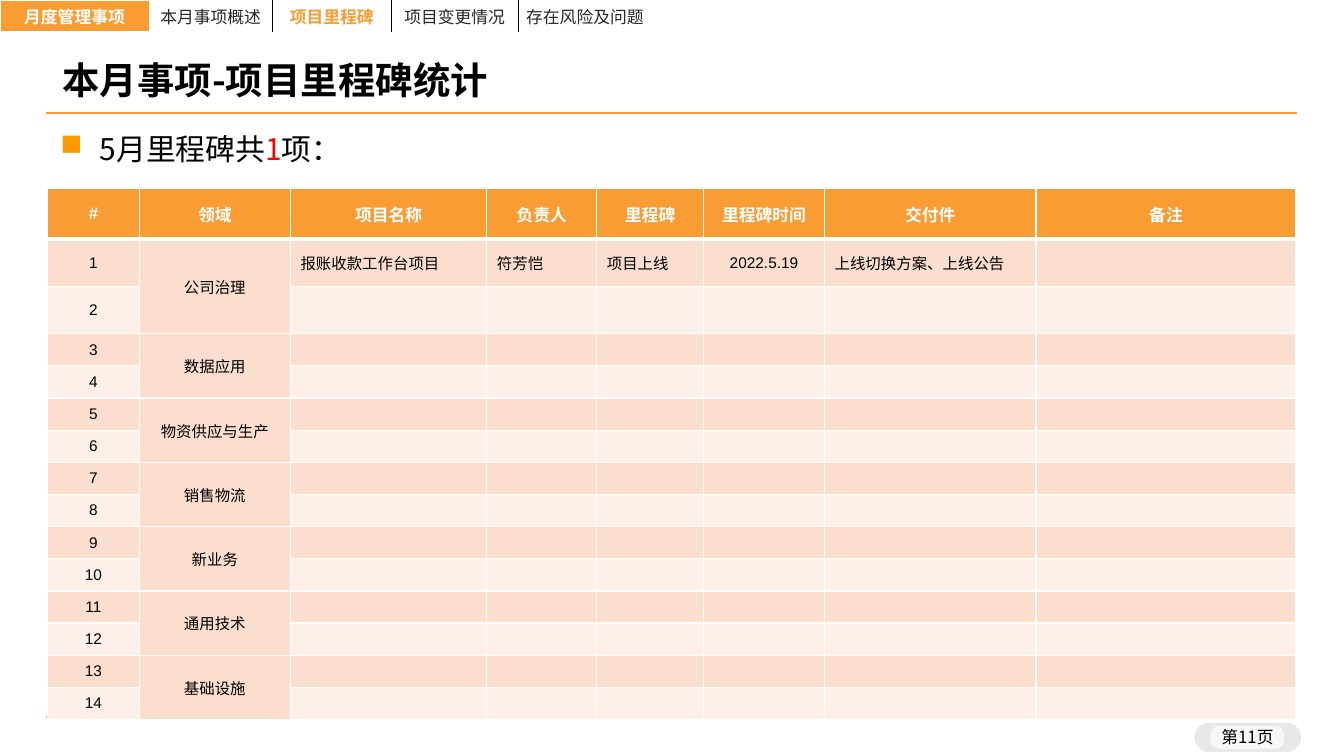
from lxml.etree import SubElement
from pptx import Presentation
from pptx.dml.color import RGBColor
from pptx.enum.shapes import MSO_CONNECTOR, MSO_SHAPE
from pptx.enum.text import MSO_ANCHOR, PP_ALIGN
from pptx.oxml.ns import qn
from pptx.util import Cm, Pt

ORANGE = RGBColor(0xF8, 0x9C, 0x33)
RULE = RGBColor(0xFF, 0x99, 0x33)
PEACH = RGBColor(0xFC, 0xDE, 0xCE)
PALE = RGBColor(0xFE, 0xEF, 0xE8)
WHITE = RGBColor(0xFF, 0xFF, 0xFF)
BLACK = RGBColor(0, 0, 0)
DARK = RGBColor(0x26, 0x26, 0x26)
RED = RGBColor(0xFF, 0, 0)
CJK = "Noto Sans CJK SC"

TABS = ["月度管理事项", "本月事项概述", "项目里程碑", "项目变更情况", "存在风险及问题"]
TAB_WIDTHS = [3.76, 3.1, 3, 3.2, 5.77] + [3.76] * 4
HEADERS = ["#", "领域", "项目名称", "负责人", "里程碑", "里程碑时间", "交付件", "备注"]
COL_WIDTHS = [2.31, 3.81, 4.95, 2.77, 2.69, 3.05, 5.33, 6.55]
ROW_HEIGHTS = [1.27, 1.19, 1.19] + [0.81] * 12
AREAS = ["公司治理", "数据应用", "物资供应与生产", "销售物流", "新业务", "通用技术", "基础设施"]
MILESTONES = {1: ["报账收款工作台项目", "符芳恺", "项目上线", "2022.5.19", "上线切换方案、上线公告", ""]}
CENTRED = {0, 1, 5}


def style_run(r, size, color, bold=False, font=CJK):
    r.font.size, r.font.bold, r.font.name = Pt(size), bold, font
    r.font.color.rgb = color
    SubElement(r.font._element, qn("a:ea"), typeface=CJK)


def add_text(s, box, margins, parts, size, bold=False, anchor=MSO_ANCHOR.TOP, wrap=True):
    """Put one paragraph of (text, colour) parts in a box and return it."""
    tf = s.shapes.add_textbox(*map(Cm, box)).text_frame
    tf.word_wrap, tf.vertical_anchor = wrap, anchor
    tf.margin_left = tf.margin_right = Cm(margins[0])
    tf.margin_top = tf.margin_bottom = Cm(margins[1])
    p = tf.paragraphs[0]
    for text, color in parts:
        r = p.add_run()
        r.text = text
        style_run(r, size, color, bold)
    return p


def add_rule(s, x, y, width):
    line = s.shapes.add_connector(MSO_CONNECTOR.STRAIGHT, Cm(x), Cm(y), Cm(x + width), Cm(y))
    line.line.color.rgb, line.line.width = RULE, Pt(1.5)
    SubElement(line._element.spPr, qn("a:effectLst"))


def add_pill(s, box, radius, color, opacity):
    sp = s.shapes.add_shape(MSO_SHAPE.ROUNDED_RECTANGLE, *map(Cm, box))
    sp.adjustments[0] = radius
    sp.shadow.inherit = False
    sp.line.fill.background()
    sp.fill.solid()
    sp.fill.fore_color.rgb = color
    fill = sp._element.spPr.find(qn("a:solidFill"))
    SubElement(fill[0], qn("a:alpha"), val=str(opacity * 1000))


def add_table(s, x, y, widths, heights):
    frame = s.shapes.add_table(len(heights), len(widths), Cm(x), Cm(y),
                               Cm(sum(widths)), Cm(sum(heights)))
    table = frame.table
    table.first_row = table.horz_banding = False
    for col, width in zip(table.columns, widths):
        col.width = Cm(width)
    for row, height in zip(table.rows, heights):
        row.height = Cm(height)
    return table


def fill_cell(cell, text, size, color, fill, borders, bold=False, font=CJK, align=PP_ALIGN.CENTER):
    """Borders map a side (L, R, T, B) to its colour and width in points."""
    cell.vertical_anchor = MSO_ANCHOR.MIDDLE
    p = cell.text_frame.paragraphs[0]
    p.text, p.alignment = text, align
    for r in p.runs:
        style_run(r, size, color, bold, font)
    if not text:  # an empty cell keeps its row height only with a small font
        end = SubElement(p._p, qn("a:endParaRPr"), sz=str(size * 100))
        SubElement(end, qn("a:latin"), typeface=font)
    tcPr = cell._tc.get_or_add_tcPr()
    for side in "LRTB":
        if side in borders:
            line_color, width = borders[side]
            ln = SubElement(tcPr, qn("a:ln" + side), w=str(Pt(width)))
            SubElement(SubElement(ln, qn("a:solidFill")), qn("a:srgbClr"), val=str(line_color))
    if fill is None:
        cell.fill.background()
    else:
        cell.fill.solid()
        cell.fill.fore_color.rgb = fill


def tab_bar(s, x, y, height):
    table = add_table(s, x, y, TAB_WIDTHS, [height])
    last = len(TABS) - 1
    for i in range(len(TAB_WIDTHS)):
        cell = table.cell(0, i)
        cell.margin_left = Cm(0.2 if i == last else 0)
        cell.margin_right = 0
        cell.margin_top = cell.margin_bottom = Cm(0.1)
        borders = {side: (WHITE, 1) for side in "LRTB"}
        if 1 < i <= last:
            borders["L"] = (BLACK, 1)
        if 1 <= i < last:
            borders["R"] = (BLACK, 1)
        fill_cell(cell, TABS[i] if i <= last else "", 12,
                  {0: WHITE, 2: ORANGE}.get(i, DARK), ORANGE if i == 0 else None,
                  borders, bold=i in (0, 2),
                  align=PP_ALIGN.LEFT if i == last else PP_ALIGN.CENTER)


def heading(s, x, y, width):
    p = add_text(s, (x, y, width, 1.42), (0.33, 0.18), [("本月事项-项目里程碑统计", BLACK)],
                 26.7, bold=True, anchor=MSO_ANCHOR.MIDDLE)
    p.line_spacing = 0.9
    add_rule(s, x - 0.07, y + 1.47, 31.52)


def summary(s, x, y, width):
    p = add_text(s, (x, y, width, 2.16), (0.33, 0.18),
                 [("5月里程碑共", BLACK), ("1", RED), ("项：", BLACK)], 21.3)
    p.space_before = Pt(10)
    pPr = p._p.get_or_add_pPr()
    pPr.set("marL", str(Cm(1)))
    pPr.set("indent", str(-Cm(1)))
    SubElement(SubElement(pPr, qn("a:buClr")), qn("a:srgbClr"), val="FF9900")
    SubElement(pPr, qn("a:buChar"), char="■")


def milestone_table(s, x, y):
    table = add_table(s, x, y, COL_WIDTHS, ROW_HEIGHTS)
    thin = {side: (WHITE, 1) for side in "LRTB"}
    for c, name in enumerate(HEADERS):
        fill_cell(table.cell(0, c), name, 12, WHITE, ORANGE, {**thin, "B": (WHITE, 3)},
                  bold=True, font="Arial")
    for n in range(1, len(ROW_HEIGHTS)):
        area = AREAS[n // 2] if n % 2 else ""
        values = [str(n), area] + MILESTONES.get(n, [""] * 6)
        borders = {**thin, "T": (WHITE, 3)} if n == 1 else thin
        for c, value in enumerate(values):
            fill_cell(table.cell(n, c), value, 11, BLACK, PEACH if n % 2 or c == 1 else PALE,
                      borders, font="Arial",
                      align=PP_ALIGN.CENTER if c in CENTRED else PP_ALIGN.LEFT)
    for i in range(len(AREAS)):
        top = 2 * i + 1
        table.cell(top, 1).merge(table.cell(top + 1, 1))


def footer(s, x, y):
    add_rule(s, 1.17, y - 0.15, 31.52)
    add_pill(s, (x, y, 2.69, 0.74), 0.5, BLACK, 9)
    add_pill(s, (x + 0.41, y + 0.08, 1.85, 0.58), 0.36, WHITE, 66)
    p = add_text(s, (x - 0.02, y, 2.72, 0.79), (0, 0.1), [("第11页", BLACK)], 12,
                 anchor=MSO_ANCHOR.MIDDLE, wrap=False)
    p.alignment, p.line_spacing = PP_ALIGN.CENTER, 0.85


def main():
    prs = Presentation()
    prs.slide_width, prs.slide_height = Cm(33.87), Cm(19.05)
    s = prs.slides.add_slide(prs.slide_layouts[6])
    footer(s, 30.1, 18.21)
    heading(s, 1.24, 1.37, 31.42)
    summary(s, 1.19, 3.12, 31.52)
    milestone_table(s, 1.2, 4.76)
    tab_bar(s, 0, 0, 0.8)
    prs.save("out.pptx")


if __name__ == "__main__":
    main()
